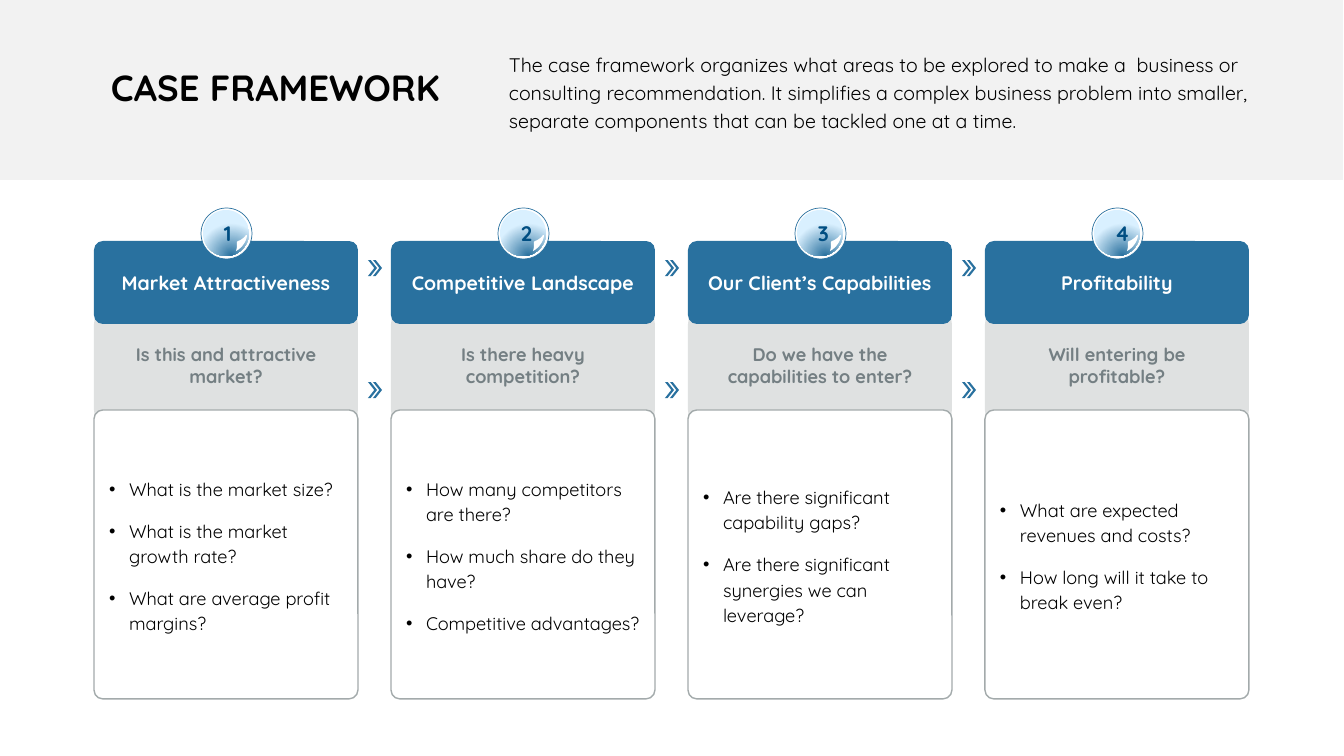
from dataclasses import dataclass

from lxml import etree
from pptx import Presentation
from pptx import util as u
from pptx.dml.color import RGBColor
from pptx.enum import shapes, text
from pptx.oxml.ns import qn

PX = 914400 / 100.8
FONT = "Quicksand"
BLUE, NAVY, SKY = "29719F", "004E82", "D9F0FF"
WHITE, BLACK = "FFFFFF", "000000"
PALE, SILVER, EDGE, SLATE = "F2F2F2", "DFE1E1", "A3AAAB", "747F83"
FIRST_LEFT, COLUMN_STEP, COLUMN_WIDTH = 94, 297, 264
ARROW_ROWS = (260, 382)
ARROW_OFFSETS = (279, 274)
CURL_START = (46, 27)
CURL_CURVES = (
    ((46, 28), (45, 34), (41, 40), (35, 43)),
    ((35, 43), (36, 40), (36, 38), (36, 35)),
    ((36, 34), (36, 34), (37, 33), (37, 33)),
    ((37, 33), (40, 32), (43, 30), (45, 27)),
)


@dataclass(frozen=True)
class Area:
    heading: str
    question: str
    points: tuple[str, ...]


AREAS = (
    Area("Market Attractiveness", "Is this and attractive market?",
         ("What is the market size?", "What is the market growth rate?",
          "What are average profit margins?")),
    Area("Competitive Landscape", "Is there heavy competition?",
         ("How many competitors are there?", "How much share do they have?",
          "Competitive advantages?")),
    Area("Our Client’s Capabilities", "Do we have the capabilities to enter?",
         ("Are there significant capability gaps?",
          "Are there significant synergies we can leverage?")),
    Area("Profitability", "Will entering be profitable?",
         ("What are expected revenues and costs?",
          "How long will it take to break even?")),
)
INTRO = ("The case framework organizes what areas to be explored to make a  business or "
         "consulting recommendation. It simplifies a complex business problem into smaller, "
         "separate components that can be tackled one at a time.")


def px(length: float) -> u.Emu:
    return u.Emu(round(length * PX))


def color(value: str) -> RGBColor:
    return RGBColor.from_string(value)


def write(box, *lines: str, size: int, ink: str = BLACK, bold: bool = False,
          align=text.PP_ALIGN.LEFT, insets=(10, 5, 10, 5), spacing=None,
          after: int = 0, bullet: bool = False, wrap: bool = True,
          fit=text.MSO_AUTO_SIZE.NONE) -> None:
    frame = box.text_frame
    frame.word_wrap = wrap
    frame.auto_size = fit
    frame.vertical_anchor = text.MSO_ANCHOR.MIDDLE
    (frame.margin_left, frame.margin_top,
     frame.margin_right, frame.margin_bottom) = map(px, insets)
    for index, line in enumerate(lines):
        para = frame.add_paragraph() if index else frame.paragraphs[0]
        if bullet:
            properties = para._p.get_or_add_pPr()
            properties.set("marL", str(px(20)))
            properties.set("indent", str(px(-20)))
            etree.SubElement(properties, qn("a:buFont"), typeface="Arial")
            etree.SubElement(properties, qn("a:buChar"), char="•")
        para.alignment = align
        para.space_before = u.Pt(0)
        para.space_after = u.Pt(after)
        if spacing:
            para.line_spacing = spacing
        span = para.add_run()
        span.text = line
        span.font.name = FONT
        span.font.size = u.Pt(size)
        span.font.bold = bold
        span.font.color.rgb = color(ink)


def paint(shape, fill: str, line: str | None = None, width: float = 1):
    shape.shadow.inherit = False
    shape.fill.solid()
    shape.fill.fore_color.rgb = color(fill)
    if line:
        shape.line.color.rgb = color(line)
        shape.line.width = u.Pt(width)
    else:
        shape.line.fill.background()
    return shape


def draw(page, kind, left: int, top: int, width: int, height: int, fill: str,
         line: str | None = None, line_width: float = 1, corner: float | None = None):
    shape = page.shapes.add_shape(kind, px(left), px(top), px(width), px(height))
    if corner is not None:
        shape.adjustments[0] = corner
    return paint(shape, fill, line, line_width)


def place(holder, left: int, top: int, width: int, height: int):
    holder.left, holder.top, holder.width, holder.height = map(px, (left, top, width, height))
    holder.element.getparent().append(holder.element)
    return holder


def bezier(curve, steps: int = 8) -> list[tuple[float, float]]:
    return [tuple((1 - t) ** 3 * a + 3 * (1 - t) ** 2 * t * b + 3 * (1 - t) * t ** 2 * c + t ** 3 * d
                  for a, b, c, d in zip(*curve))
            for t in (step / steps for step in range(steps + 1))]


def add_badge(page, left: int, number: int) -> None:
    oval = shapes.MSO_SHAPE.OVAL
    top = 208
    draw(page, oval, left, top, 51, 51, WHITE, BLUE, 0.5)
    glass = draw(page, oval, left + 2, top + 2, 46, 46, SKY)
    glass.fill.gradient()
    for stop, tone in zip(glass.fill.gradient_stops, (BLUE, SKY)):
        stop.color.rgb = color(tone)
    linear = glass.element.spPr.find(".//" + qn("a:lin"))
    radial = etree.Element(qn("a:path"), path="circle")
    etree.SubElement(radial, qn("a:fillToRect"), l="62000", t="120000", r="38000", b="-20000")
    linear.getparent().replace(linear, radial)

    outline = [(px(left + x), px(top + y)) for curve in CURL_CURVES for x, y in bezier(curve)]
    builder = page.shapes.build_freeform(px(left + CURL_START[0]), px(top + CURL_START[1]))
    builder.add_line_segments(outline, close=True)
    paint(builder.convert_to_shape(), WHITE)

    label = page.shapes.add_textbox(px(left + 13), px(top + 11), px(25), px(28))
    write(label, str(number), size=15, ink=NAVY, bold=True, wrap=False,
          align=text.PP_ALIGN.CENTER, fit=text.MSO_AUTO_SIZE.SHAPE_TO_FIT_TEXT)


def add_area(page, holder, area: Area, left: int, number: int) -> None:
    rounded = shapes.MSO_SHAPE.ROUNDED_RECTANGLE
    center = text.PP_ALIGN.CENTER
    question = draw(page, rounded, left, 303, COLUMN_WIDTH, 128, SILVER)
    write(question, area.question, size=13, ink=SLATE, bold=True, align=center,
          insets=(15, 0, 15, 4))
    draw(page, rounded, left, 410, COLUMN_WIDTH, 289, WHITE, EDGE, corner=0.034)
    heading = draw(page, rounded, left, 241, COLUMN_WIDTH, 83, BLUE, corner=0.108)
    write(heading, area.heading, size=14, ink=WHITE, bold=True, align=center, after=10)
    place(holder, left, 410, COLUMN_WIDTH, 289)
    write(holder, *area.points, size=13, insets=(15, 4, 15, 4), spacing=u.Pt(18),
          after=12, bullet=True)
    add_badge(page, left + 107, number)


def main() -> None:
    deck = Presentation()
    deck.slide_width, deck.slide_height = px(1344), px(756)
    page = deck.slides.add_slide(deck.slide_layouts.get_by_name("Comparison"))
    title, *holders = list(page.placeholders)

    draw(page, shapes.MSO_SHAPE.RECTANGLE, 0, 0, 1343, 180, PALE)
    place(title, 101, 61, 418, 58)
    write(title, "CASE FRAMEWORK", size=26, bold=True, spacing=0.9)
    intro = page.shapes.add_textbox(px(493), px(13), px(773), px(155))
    write(intro, INTRO, size=14, insets=(16, 16, 16, 16), spacing=u.Pt(19.8), after=10)

    for index, (area, holder) in enumerate(zip(AREAS, holders)):
        left = FIRST_LEFT + index * COLUMN_STEP
        add_area(page, holder, area, left, index + 1)
        if index < len(AREAS) - 1:
            for top in ARROW_ROWS:
                for offset in ARROW_OFFSETS:
                    draw(page, shapes.MSO_SHAPE.CHEVRON, left + offset, top, 9, 16, BLUE,
                         corner=0.698)
    deck.save("out.pptx")


if __name__ == "__main__":
    main()
